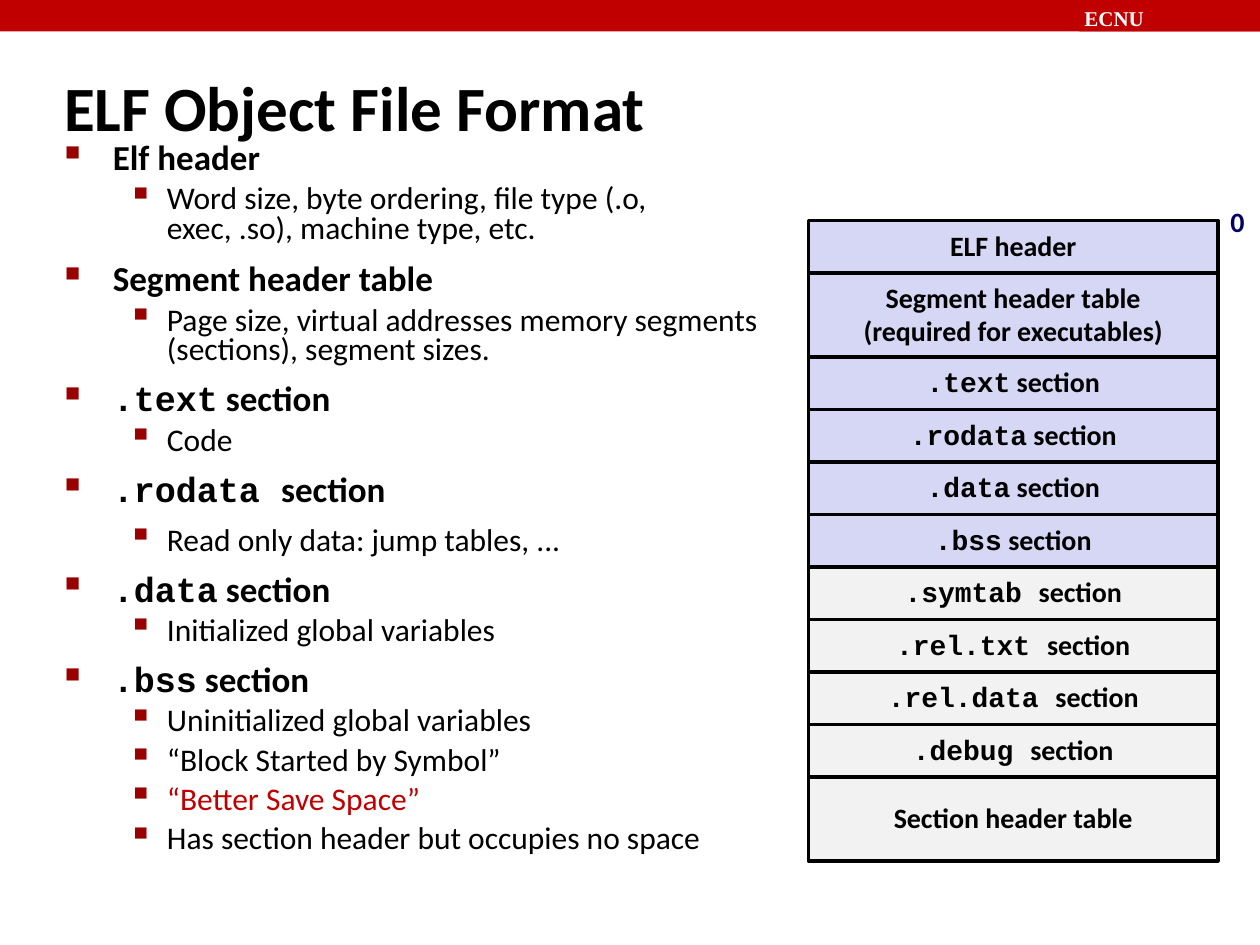
import dataclasses

import lxml.etree
import pptx
import pptx.dml.color
import pptx.enum.shapes
import pptx.enum.text
import pptx.oxml.ns
import pptx.util

ALIGN = pptx.enum.text.PP_ALIGN
ANCHOR = pptx.enum.text.MSO_ANCHOR
COLS, ROWS = 120, 90


@dataclasses.dataclass(frozen=True)
class Theme:
    red: str = "C00000"
    mark: str = "990000"
    ink: str = "000000"
    navy: str = "000066"
    white: str = "FFFFFF"
    lilac: str = "D6D6F5"
    grey: str = "F2F2F2"
    sans: str = "Calibri"
    code: str = "Courier New"
    serif: str = "Times New Roman"
    title: int = 36
    head: int = 20
    item: int = 18
    cell: int = 16
    tag: int = 12


THEME = Theme()


def color(code):
    return pptx.dml.color.RGBColor.from_string(code)


def write(para, text, size, font=THEME.sans, ink=THEME.ink, bold=True,
          align=ALIGN.LEFT, space=None, before=0):
    """Fill a paragraph, setting the parts between backticks in the code font."""
    para.alignment = align
    para.space_before = pptx.util.Pt(before)
    if space:
        para.line_spacing = space
    for spot, part in enumerate(text.split("`")):
        if part:
            run = para.add_run()
            run.text = part
            run.font.name = THEME.code if spot % 2 else font
            run.font.size = pptx.util.Pt(size)
            run.font.bold = bold
            run.font.color.rgb = color(ink)


def bullet(para, level, sign, scale, left, hang):
    para.level = level
    props = para._p.get_or_add_pPr()
    props.set("marL", str(pptx.util.Inches(left)))
    props.set("indent", str(-pptx.util.Inches(hang)))
    qn = pptx.oxml.ns.qn
    tint = lxml.etree.SubElement(props, qn("a:buClr"))
    lxml.etree.SubElement(tint, qn("a:srgbClr"), val=THEME.mark)
    lxml.etree.SubElement(props, qn("a:buSzPct"), val=str(scale * 1000))
    lxml.etree.SubElement(props, qn("a:buChar"), char=sign)


class Page:
    """Draw themed elements on one slide, measured in grid columns and rows."""

    def __init__(self, deck, theme):
        self.theme = theme
        self.wide, self.high = deck.slide_width, deck.slide_height
        self.slide = deck.slides.add_slide(deck.slide_layouts[5])

    def area(self, left, top, width, height):
        across, down = self.wide / COLS, self.high / ROWS
        return (round(left * across), round(top * down),
                round(width * across), round(height * down))

    def title(self, text, *area):
        shape = self.slide.shapes.title
        shape.left, shape.top, shape.width, shape.height = self.area(*area)
        frame = shape.text_frame
        frame.auto_size = pptx.enum.text.MSO_AUTO_SIZE.NONE
        frame.vertical_anchor = ANCHOR.MIDDLE
        write(frame.paragraphs[0], text, self.theme.title)

    def block(self, fill, *area, line=None):
        kind = pptx.enum.shapes.MSO_SHAPE.RECTANGLE
        shape = self.slide.shapes.add_shape(kind, *self.area(*area))
        shape.shadow.inherit = False
        shape.fill.solid()
        shape.fill.fore_color.rgb = color(fill)
        if line:
            shape.line.color.rgb = color(line)
            shape.line.width = pptx.util.Pt(2)
        else:
            shape.line.fill.background()
        return shape

    def tag(self, text, *area):
        frame = self.block(self.theme.red, *area).text_frame
        frame.vertical_anchor = ANCHOR.TOP
        inset = pptx.util.Inches(0.04)
        frame.margin_left = frame.margin_right = inset
        frame.margin_top = frame.margin_bottom = inset
        write(frame.paragraphs[0], text, self.theme.tag,
              font=self.theme.serif, ink=self.theme.white)

    def cell(self, text, fill, *area):
        frame = self.block(fill, *area, line=self.theme.ink).text_frame
        frame.word_wrap = False
        frame.vertical_anchor = ANCHOR.MIDDLE
        for spot, line in enumerate(text.split("\n")):
            para = frame.add_paragraph() if spot else frame.paragraphs[0]
            write(para, line, self.theme.cell, align=ALIGN.CENTER,
                  space=0.94 if "`" in line else 0.98)

    def label(self, text, *area):
        box = self.slide.shapes.add_textbox(*self.area(*area))
        box.text_frame.word_wrap = False
        write(box.text_frame.paragraphs[0], text, self.theme.cell,
              ink=self.theme.navy, space=0.98)

    def outline(self, groups, *area):
        frame = self.slide.shapes.add_textbox(*self.area(*area)).text_frame
        frame.word_wrap = True
        for spot, (head, items) in enumerate(groups):
            para = frame.add_paragraph() if spot else frame.paragraphs[0]
            bullet(para, 0, "■", 60, 0.38, 0.38)
            write(para, head, self.theme.head, before=12.5 if spot else 0,
                  space=0.7 if "`" in head else 0.73)
            for text, style in items.items():
                para = frame.add_paragraph()
                bullet(para, 1, "▪", 110, 0.81, 0.31)
                look = {"space": 0.78, "before": 5.6, "bold": False} | style
                write(para, text, self.theme.item, **look)


GROUPS = [
    ("Elf header", {
        "Word size, byte ordering, file type (.o, exec, .so), machine type, etc.": {}}),
    ("Segment header table", {
        "Page size, virtual addresses memory segments (sections), segment sizes.": {}}),
    ("`.text` section", {"Code": {}}),
    ("`.rodata `section", {
        "Read only data: jump tables, ...": {"space": 0.7, "before": 12.5}}),
    ("`.data` section", {"Initialized global variables": {}}),
    ("`.bss` section", {
        "Uninitialized global variables": {},
        "“Block Started by Symbol”": {},
        "“Better Save Space”": {"ink": THEME.red},
        "Has section header but occupies no space": {}}),
]

LOADED = ["ELF header", "Segment header table\n(required for executables)",
          "`.text` section", "`.rodata` section", "`.data` section",
          "`.bss` section"]
LINKED = ["`.symtab `section", "`.rel.txt `section", "`.rel.data `section",
          "`.debug `section", "Section header table"]
TALL = {LOADED[1], LINKED[-1]}


def main():
    deck = pptx.Presentation()
    deck.slide_width = pptx.util.Inches(10)
    deck.slide_height = pptx.util.Inches(7.5)
    page = Page(deck, THEME)
    page.block(THEME.red, 0, 0, COLS, 3)
    page.tag("ECNU", 102.8, 0, 17.2, 3)
    page.title("ELF Object File Format", 4.9, 5, 114.4, 10.3)
    page.outline(GROUPS, 5, 13.3, 70.2, 70.7)
    top = 21
    for fill, names in ((THEME.lilac, LOADED), (THEME.grey, LINKED)):
        for name in names:
            height = 8 if name in TALL else 5
            page.cell(name, fill, 77, top, 39, height)
            top += height
    page.label("0", 116, 19, 3.7, 4.3)
    deck.save("out.pptx")


if __name__ == "__main__":
    main()
